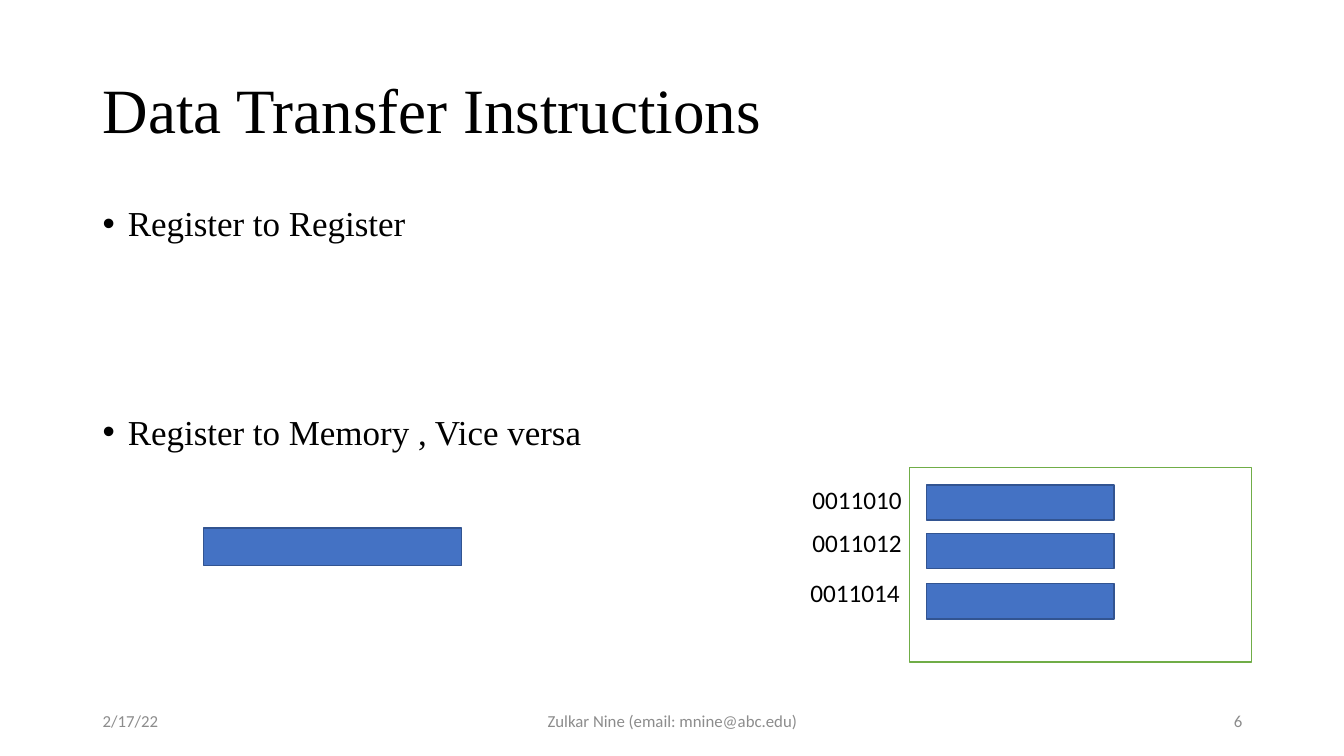
from lxml import etree
from pptx import Presentation
from pptx.dml.color import RGBColor
from pptx.enum import shapes, text
from pptx.oxml import ns
from pptx.util import Inches, Pt

BLACK = RGBColor(0x00, 0x00, 0x00)
WHITE = RGBColor(0xFF, 0xFF, 0xFF)
GRAY = RGBColor(0x8C, 0x8C, 0x8C)
BLUE = RGBColor(0x44, 0x72, 0xC4)
DARK_BLUE = RGBColor(0x32, 0x54, 0x91)
GREEN = RGBColor(0x70, 0xAD, 0x47)

SERIF = "Times New Roman"
SANS = "Calibri"
LEFT, CENTER, RIGHT = text.PP_ALIGN.LEFT, text.PP_ALIGN.CENTER, text.PP_ALIGN.RIGHT


def write(paragraph, words, font=SANS, size=18, color=BLACK, align=LEFT,
          line_spacing=1.0, before=0):
    """Put formatted words into a paragraph."""
    paragraph.alignment = align
    paragraph.line_spacing = line_spacing
    paragraph.space_before = Pt(before)
    run = paragraph.add_run()
    run.text = words
    run.font.name = font
    run.font.size = Pt(size)
    run.font.color.rgb = color


def add_bullet(paragraph, indent=0.25):
    """Give a paragraph a round bullet with a hanging indent."""
    properties = paragraph._p.get_or_add_pPr()
    properties.set("marL", str(Inches(indent)))
    properties.set("indent", str(-Inches(indent)))
    etree.SubElement(properties, ns.qn("a:buFont")).set("typeface", "Arial")
    etree.SubElement(properties, ns.qn("a:buChar")).set("char", "•")


class SlideBuilder:
    def __init__(self, presentation):
        self.slide = presentation.slides.add_slide(presentation.slide_layouts[5])

    def title(self, words, left, top, width, height):
        shape = self.slide.shapes.title
        shape.left, shape.top = Inches(left), Inches(top)
        shape.width, shape.height = Inches(width), Inches(height)
        frame = shape.text_frame
        frame.auto_size = text.MSO_AUTO_SIZE.NONE
        frame.vertical_anchor = text.MSO_ANCHOR.MIDDLE
        write(frame.paragraphs[0], words, font=SERIF, size=45, line_spacing=0.9)

    def frame(self, left, top, width, height, anchor=text.MSO_ANCHOR.MIDDLE):
        box = self.slide.shapes.add_textbox(
            Inches(left), Inches(top), Inches(width), Inches(height))
        box.text_frame.word_wrap = True
        box.text_frame.vertical_anchor = anchor
        return box.text_frame

    def label(self, words, left, top, width, height, **style):
        write(self.frame(left, top, width, height).paragraphs[0], words, **style)

    def bullets(self, items, left, top, width, height):
        frame = self.frame(left, top, width, height, text.MSO_ANCHOR.TOP)
        for index, (words, before) in enumerate(items):
            paragraph = frame.add_paragraph() if index else frame.paragraphs[0]
            write(paragraph, words, font=SERIF, size=25, line_spacing=0.9, before=before)
            add_bullet(paragraph)

    def rectangle(self, left, top, width, height, fill=BLUE, line=DARK_BLUE):
        shape = self.slide.shapes.add_shape(
            shapes.MSO_SHAPE.RECTANGLE,
            Inches(left), Inches(top), Inches(width), Inches(height))
        shape.shadow.inherit = False
        shape.fill.solid()
        shape.fill.fore_color.rgb = fill
        shape.line.color.rgb = line
        shape.line.width = Pt(1)


def main():
    presentation = Presentation()
    presentation.slide_width = Inches(13.33)
    presentation.slide_height = Inches(7.5)
    builder = SlideBuilder(presentation)

    # Title and bullets, with room for an example under the first bullet
    builder.title("Data Transfer Instructions", 0.92, 0.4, 11.5, 1.45)
    builder.bullets([("Register to Register", 10),
                     ("Register to Memory , Vice versa", 122)],
                    0.92, 2, 11.5, 4.76)

    # Footer
    for words, left, width, align in [
            ("2/17/22", 0.92, 3, LEFT),
            ("Zulkar Nine (email: mnine@abc.edu)", 4.42, 4.5, CENTER),
            ("6", 9.42, 3, RIGHT)]:
        builder.label(words, left, 6.95, width, 0.4, size=12, color=GRAY, align=align)

    # Register
    builder.rectangle(2.02, 5.24, 2.56, 0.37)

    # Memory with its addressed cells
    builder.rectangle(9.02, 4.64, 3.39, 1.93, fill=WHITE, line=GREEN)
    for address, cell_top, label_left, label_top in [
            ("0011010", 4.81, 7.57, 4.78),
            ("0011012", 5.29, 7.57, 5.21),
            ("0011014", 5.79, 7.55, 5.7)]:
        builder.rectangle(9.19, cell_top, 1.86, 0.35)
        builder.label(address, label_left, label_top, 1.86, 0.35, align=CENTER)

    presentation.save("out.pptx")


if __name__ == "__main__":
    main()
